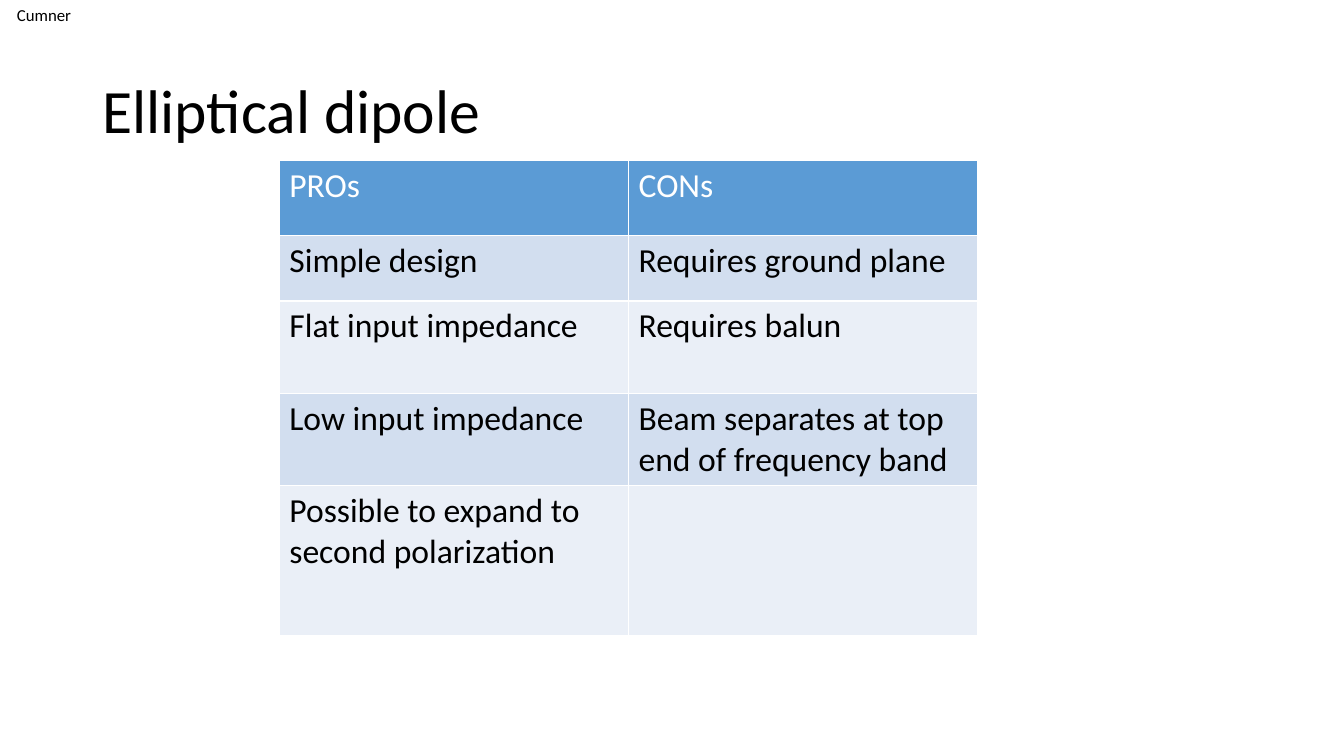
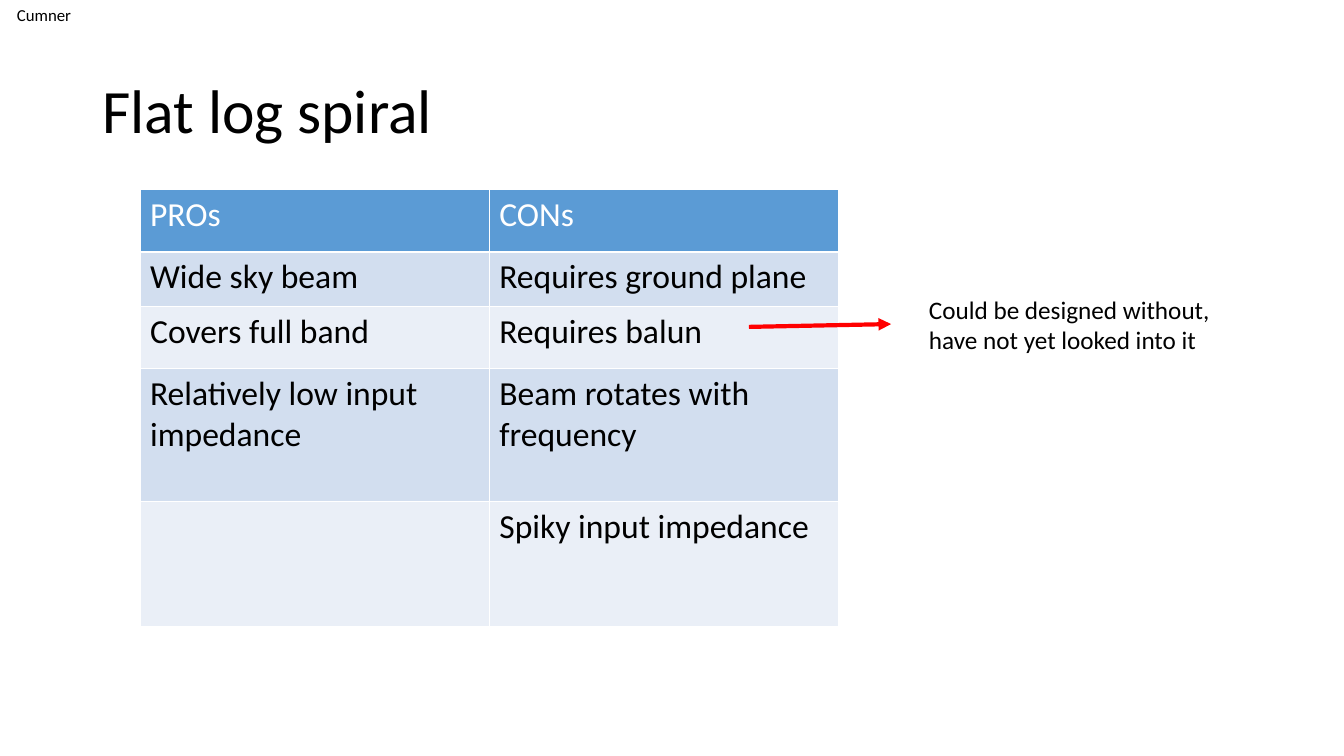
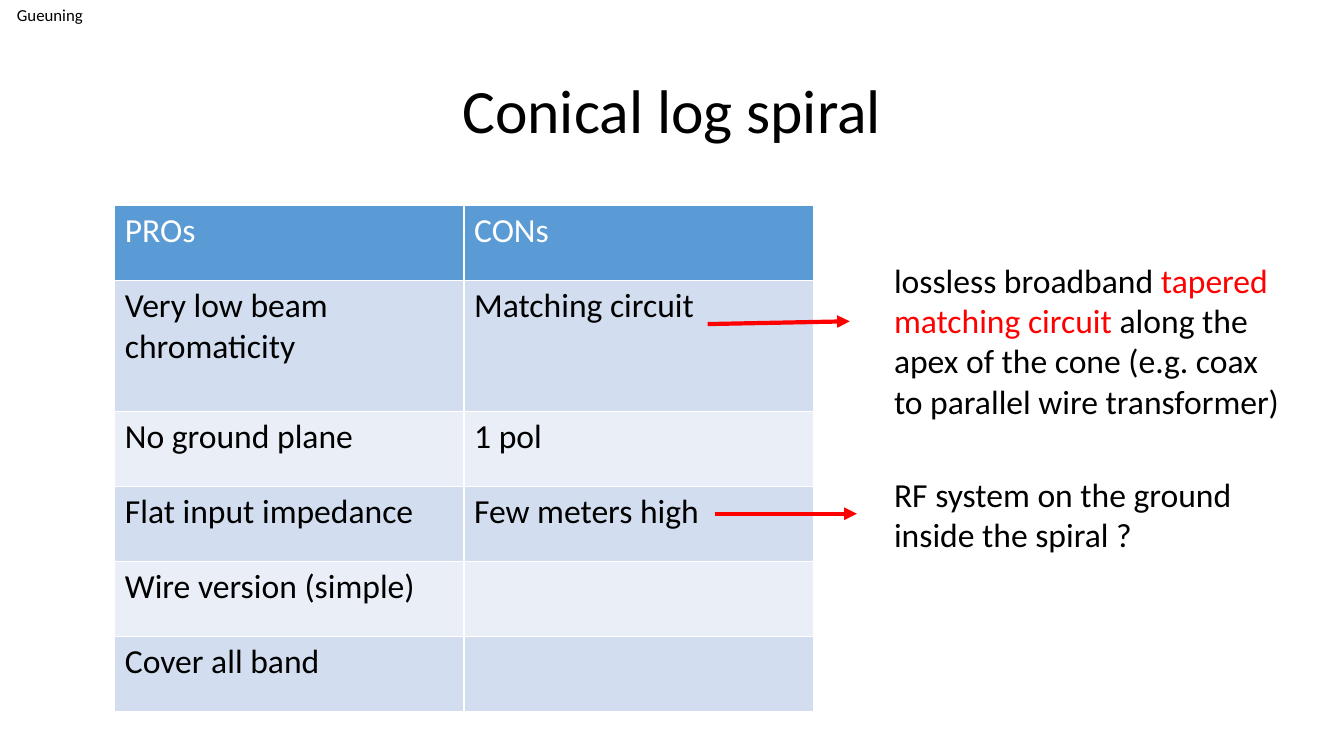
from dataclasses import dataclass

import lxml.etree
import pptx
import pptx.dml.color
import pptx.enum.shapes
import pptx.enum.text
import pptx.oxml.ns
import pptx.util

Pt = pptx.util.Pt
RGBColor = pptx.dml.color.RGBColor
Align = pptx.enum.text.PP_ALIGN
Anchor = pptx.enum.text.MSO_ANCHOR
qn = pptx.oxml.ns.qn

# Shared look
FONT = "Calibri"
BLACK = RGBColor(0x00, 0x00, 0x00)
WHITE = RGBColor(0xFF, 0xFF, 0xFF)
RED = RGBColor(0xFF, 0x00, 0x00)
HEADER_BLUE = RGBColor(0x5B, 0x9B, 0xD5)
BAND_DARK = RGBColor(0xD2, 0xDE, 0xEF)
BAND_LIGHT = RGBColor(0xEA, 0xEF, 0xF7)
COLUMN_WIDTH = 249.5
HEADINGS = ("PROs", "CONs")


@dataclass(frozen=True)
class Span:
    text: str
    color: RGBColor = BLACK


@dataclass(frozen=True)
class Note:
    left: float
    top: float
    width: float
    height: float
    size: float
    paragraphs: tuple[tuple[Span, ...], ...]
    wrap: bool = True


@dataclass(frozen=True)
class Arrow:
    start: tuple[float, float]
    end: tuple[float, float]


@dataclass(frozen=True)
class Antenna:
    title: str
    author: str
    table_left: float
    table_top: float
    row_heights: tuple[float, ...]
    rows: tuple[tuple[str, str], ...]
    notes: tuple[Note, ...] = ()
    arrows: tuple[Arrow, ...] = ()
    title_align: Align = Align.LEFT


ANTENNAS = (
    Antenna(
        "Elliptical dipole", "Cumner", 199.5, 114.5,
        (54, 46.5, 66, 66, 107),
        (
            ("Simple design", "Requires ground plane"),
            ("Flat input impedance", "Requires balun"),
            ("Low input impedance", "Beam separates at top end of frequency band"),
            ("Possible to expand to second polarization", ""),
        ),
    ),
    Antenna(
        "Flat log spiral", "Cumner", 100, 135.5,
        (44.5, 39, 44.5, 95, 89),
        (
            ("Wide sky beam", "Requires ground plane"),
            ("Covers full band", "Requires balun"),
            ("Relatively low input impedance", "Beam rotates with frequency"),
            ("", "Spiky input impedance"),
        ),
        notes=(
            Note(656.5, 206.5, 222, 51, 18,
                 ((Span("Could be designed without,"),),
                  (Span("have not yet looked into it"),)), wrap=False),
        ),
        arrows=(Arrow((535, 233.5), (636.5, 231.5)),),
    ),
    Antenna(
        "Conical log spiral", "Gueuning", 82, 147,
        (53.6, 93.6, 53.6, 53.6, 53.6, 53.6),
        (
            ("Very low beam chromaticity", "Matching circuit"),
            ("No ground plane", "1 pol"),
            ("Flat input impedance", "Few meters high"),
            ("Wire version (simple)", ""),
            ("Cover all band", ""),
        ),
        notes=(
            Note(631.5, 182, 298, 124, 24,
                 ((Span("lossless broadband "),
                   Span("tapered matching circuit", RED),
                   Span(" along the apex of the cone "
                        "(e.g. coax to parallel wire transformer)")),)),
            Note(631.5, 334.8, 298, 65.5, 24,
                 ((Span("RF system on the ground inside the spiral ?"),),)),
        ),
        arrows=(
            Arrow((505.5, 231.5), (607, 229.5)),
            Arrow((510.5, 367), (612, 367)),
        ),
        title_align=Align.CENTER,
    ),
)


def style_font(font, size: float, color: RGBColor) -> None:
    font.name = FONT
    font.size = Pt(size)
    font.bold = False
    font.color.rgb = color


def draw_note(page, note: Note):
    box = page.shapes.add_textbox(
        Pt(note.left), Pt(note.top), Pt(note.width), Pt(note.height))
    frame = box.text_frame
    frame.word_wrap = note.wrap
    for index, spans in enumerate(note.paragraphs):
        para = frame.add_paragraph() if index else frame.paragraphs[0]
        for span in spans:
            run = para.add_run()
            run.text = span.text
            style_font(run.font, note.size, span.color)
    return box


def draw_title(page, text: str, align: Align) -> None:
    box = draw_note(page, Note(66, 28.75, 828, 104.4, 44, ((Span(text),),)))
    box.text_frame.vertical_anchor = Anchor.MIDDLE
    para = box.text_frame.paragraphs[0]
    para.alignment = align
    para.line_spacing = 0.9


def add_borders(cell) -> None:
    properties = cell._tc.get_or_add_tcPr()
    for side in ("a:lnL", "a:lnR", "a:lnT", "a:lnB"):
        line = lxml.etree.SubElement(properties, qn(side), w=str(Pt(1)))
        fill = lxml.etree.SubElement(line, qn("a:solidFill"))
        lxml.etree.SubElement(fill, qn("a:srgbClr"), val=str(WHITE))


def draw_table(page, antenna: Antenna) -> None:
    rows = (HEADINGS, *antenna.rows)
    table = page.shapes.add_table(
        len(rows), len(HEADINGS), Pt(antenna.table_left), Pt(antenna.table_top),
        Pt(COLUMN_WIDTH * len(HEADINGS)), Pt(sum(antenna.row_heights))).table
    for column in table.columns:
        column.width = Pt(COLUMN_WIDTH)
    for row_index, (texts, height) in enumerate(zip(rows, antenna.row_heights)):
        table.rows[row_index].height = Pt(height)
        if row_index == 0:
            fill, color = HEADER_BLUE, WHITE
        else:
            fill, color = (BAND_DARK if row_index % 2 else BAND_LIGHT), BLACK
        for column_index, text in enumerate(texts):
            cell = table.cell(row_index, column_index)
            add_borders(cell)
            cell.fill.solid()
            cell.fill.fore_color.rgb = fill
            cell.text_frame.text = text
            for run in cell.text_frame.paragraphs[0].runs:
                style_font(run.font, 24, color)


def draw_arrow(page, arrow: Arrow) -> None:
    connector = page.shapes.add_connector(
        pptx.enum.shapes.MSO_CONNECTOR.STRAIGHT,
        *(Pt(value) for value in (*arrow.start, *arrow.end)))
    connector.line.color.rgb = RED
    connector.line.width = Pt(3)
    line = connector.line._get_or_add_ln()
    lxml.etree.SubElement(line, qn("a:tailEnd"), type="triangle")
    lxml.etree.SubElement(connector._element.spPr, qn("a:effectLst"))


def draw_page(deck, antenna: Antenna) -> None:
    page = deck.slides.add_slide(deck.slide_layouts[6])
    draw_title(page, antenna.title, antenna.title_align)
    draw_table(page, antenna)
    for note in antenna.notes:
        draw_note(page, note)
    for arrow in antenna.arrows:
        draw_arrow(page, arrow)
    # Author in the top left corner
    draw_note(page, Note(5, 0, 126, 21.8, 12, ((Span(antenna.author),),)))


def main() -> None:
    deck = pptx.Presentation()
    deck.slide_width, deck.slide_height = Pt(960), Pt(540)
    for antenna in ANTENNAS:
        draw_page(deck, antenna)
    deck.save("out.pptx")


if __name__ == "__main__":
    main()
